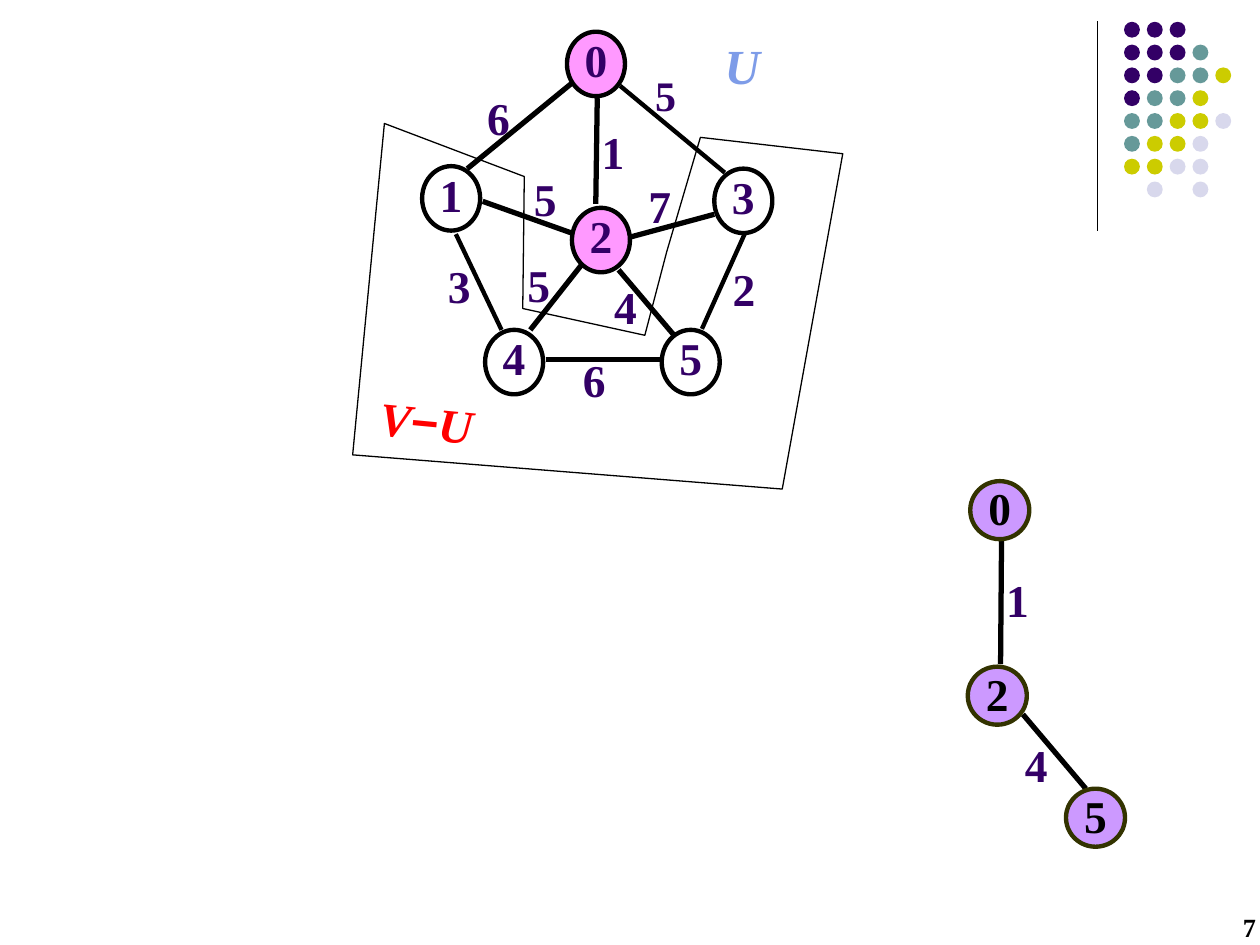
from dataclasses import dataclass
from typing import Optional

from lxml.etree import SubElement
from pptx import Presentation
from pptx.dml.color import RGBColor
from pptx.enum.shapes import MSO_CONNECTOR, MSO_SHAPE
from pptx.enum.text import MSO_ANCHOR, PP_ALIGN
from pptx.oxml.ns import qn
from pptx.util import Cm, Pt

BLACK = RGBColor(0x00, 0x00, 0x00)
WHITE = RGBColor(0xFF, 0xFF, 0xFF)
RED = RGBColor(0xFF, 0x00, 0x00)
BLUE = RGBColor(0x7E, 0x9C, 0xE8)
PURPLE = RGBColor(0x33, 0x00, 0x66)
TEAL = RGBColor(0x66, 0x99, 0x99)
YELLOW = RGBColor(0xCC, 0xCC, 0x00)
LAVENDER = RGBColor(0xD8, 0xD8, 0xEC)
PINK = RGBColor(0xFF, 0x99, 0xFF)
VIOLET = RGBColor(0xCC, 0x99, 0xFF)
OLIVE = RGBColor(0x33, 0x33, 0x00)

SERIF = "Times New Roman"
DOT_COLORS = {"P": PURPLE, "T": TEAL, "Y": YELLOW, "L": LAVENDER}
DOT_ROWS = ["PPP", "PPPT", "PPTTY", "PTTY", "TTYYL", "TYYL", "YYLL", " L L"]
DOT_LEFT, DOT_TOP, DOT_STEP, DOT_SIZE = 22.66, 0.44, 0.46, 0.32


@dataclass
class Node:
    name: str
    left: float
    top: float
    fill: Optional[RGBColor] = None


@dataclass
class NodeStyle:
    width: float
    height: float
    line: RGBColor
    text: RGBColor
    spacing: float


@dataclass
class Edge:
    start: tuple[float, float]
    end: tuple[float, float]
    width: float = 3


@dataclass
class Weight:
    text: str
    left: float
    top: float
    size: float = 26


GRAPH_STYLE = NodeStyle(1.17, 1.3, BLACK, PURPLE, 26)
TREE_STYLE = NodeStyle(1.19, 1.17, OLIVE, BLACK, 28)

GRAPH_NODES = [
    Node("0", 11.43, 0.64, PINK),
    Node("1", 8.51, 3.35),
    Node("2", 11.53, 4.19, PINK),
    Node("3", 14.4, 3.4),
    Node("4", 9.78, 6.65),
    Node("5", 13.34, 6.65),
]
TREE_NODES = [
    Node("0", 19.56, 9.7, VIOLET),
    Node("2", 19.51, 13.44, VIOLET),
    Node("5", 21.49, 15.9, VIOLET),
]
EDGES = [
    Edge((11.56, 1.65), (9.42, 3.4)),
    Edge((12.5, 1.73), (14.61, 3.48), 2.5),
    Edge((9.19, 4.72), (10.11, 6.65), 2.5),
    Edge((11, 7.24), (13.34, 7.24)),
    Edge((15.01, 4.72), (14.15, 6.63), 2.5),
    Edge((12.04, 1.98), (12.01, 4.11)),
    Edge((11.73, 5.33), (10.69, 6.65)),
    Edge((12.47, 5.44), (13.59, 6.76)),
    Edge((12.7, 4.78), (14.4, 4.32)),
    Edge((9.73, 4.06), (11.53, 4.7)),
    Edge((20.19, 10.87), (20.17, 13.39)),
    Edge((20.62, 14.4), (21.89, 15.9)),
]
WEIGHTS = [
    Weight("5", 13, 1.54, 24),
    Weight("6", 9.63, 2.01),
    Weight("1", 11.94, 2.69),
    Weight("7", 12.88, 3.78),
    Weight("6", 11.56, 7.29),
    Weight("5", 10.57, 3.63),
    Weight("4", 12.19, 5.82),
    Weight("2", 14.58, 5.44),
    Weight("5", 10.44, 5.36),
    Weight("3", 8.84, 5.38),
    Weight("1", 20.09, 11.71),
    Weight("4", 20.47, 15.04),
]
REGION = [
    (7.75, 2.49), (10.57, 3.56), (10.54, 6.22), (13, 6.76), (13.44, 5.08),
    (14.12, 2.77), (16.99, 3.1), (15.77, 9.86), (7.11, 9.17),
]


def add_span(para, text: str, *, size: float, color: RGBColor,
             font: str = SERIF, italic: bool = False) -> None:
    span = para.add_run()
    span.text = text
    span.font.name = font
    span.font.size = Pt(size)
    span.font.color.rgb = color
    span.font.bold = True
    span.font.italic = italic


def prepare_paragraph(shape, align=PP_ALIGN.CENTER,
                      spacing: Optional[float] = None, wrap: bool = True):
    frame = shape.text_frame
    frame.margin_left = frame.margin_right = 0
    frame.margin_top = frame.margin_bottom = 0
    frame.vertical_anchor = MSO_ANCHOR.MIDDLE
    frame.word_wrap = wrap
    para = frame.paragraphs[0]
    para.alignment = align
    if spacing:
        para.line_spacing = Pt(spacing)
    return para


def add_box(page, left: float, top: float, width: float, height: float):
    return page.shapes.add_textbox(Cm(left), Cm(top), Cm(width), Cm(height))


def add_ellipse(page, left: float, top: float, width: float, height: float,
                fill: Optional[RGBColor], line: Optional[RGBColor] = None):
    ellipse = page.shapes.add_shape(
        MSO_SHAPE.OVAL, Cm(left), Cm(top), Cm(width), Cm(height))
    ellipse.shadow.inherit = False
    if fill is None:
        ellipse.fill.background()
    else:
        ellipse.fill.solid()
        ellipse.fill.fore_color.rgb = fill
    if line is None:
        ellipse.line.fill.background()
    else:
        ellipse.line.color.rgb = line
        ellipse.line.width = Pt(2.5)
    return ellipse


def add_edge(page, edge: Edge) -> None:
    points = [Cm(value) for value in (*edge.start, *edge.end)]
    connector = page.shapes.add_connector(MSO_CONNECTOR.STRAIGHT, *points)
    connector.line.color.rgb = BLACK
    connector.line.width = Pt(edge.width)
    SubElement(connector._element.spPr, qn("a:effectLst"))


def add_node(page, node: Node, style: NodeStyle) -> None:
    ellipse = add_ellipse(page, node.left, node.top, style.width,
                          style.height, node.fill, style.line)
    para = prepare_paragraph(ellipse, spacing=style.spacing, wrap=False)
    add_span(para, node.name, size=26, color=style.text)


def add_weight(page, weight: Weight) -> None:
    box = add_box(page, weight.left, weight.top, 0.84, 0.91)
    para = prepare_paragraph(box, spacing=weight.size)
    add_span(para, weight.text, size=weight.size, color=PURPLE)


def add_dots(page) -> None:
    for row, colors in enumerate(DOT_ROWS):
        for column, key in enumerate(colors):
            if key in DOT_COLORS:
                add_ellipse(page, DOT_LEFT + column * DOT_STEP,
                            DOT_TOP + row * DOT_STEP,
                            DOT_SIZE, DOT_SIZE, DOT_COLORS[key])


def add_region(page) -> None:
    points = [(Cm(x), Cm(y)) for x, y in REGION]
    builder = page.shapes.build_freeform(*points[0])
    builder.add_line_segments(points[1:], close=True)
    region = builder.convert_to_shape()
    region.shadow.inherit = False
    region.fill.solid()
    region.fill.fore_color.rgb = WHITE
    region.line.color.rgb = BLACK
    region.line.width = Pt(0.75)


def add_captions(page) -> None:
    number = prepare_paragraph(add_box(page, 24.61, 18.31, 0.71, 0.74),
                               align=PP_ALIGN.RIGHT)
    add_span(number, "7", size=15, color=BLACK)
    chosen = prepare_paragraph(add_box(page, 14.48, 0.71, 0.97, 1.19))
    add_span(chosen, "U", size=28, color=BLUE, italic=True)
    box = add_box(page, 7.37, 7.92, 2.46, 1.14)
    box.rotation = 5.5
    remaining = prepare_paragraph(box)
    add_span(remaining, "V", size=27, color=RED, italic=True)
    add_span(remaining, "−", size=27, color=RED, font="Arial")
    add_span(remaining, "U", size=27, color=RED, italic=True)


def main() -> None:
    deck = Presentation()
    deck.slide_width, deck.slide_height = Cm(25.4), Cm(19.05)
    page = deck.slides.add_slide(deck.slide_layouts[6])
    add_edge(page, Edge((22.12, 0.43), (22.12, 4.65), 0.75))
    add_dots(page)
    add_region(page)
    add_captions(page)
    for edge in EDGES:
        add_edge(page, edge)
    for nodes, style in ((GRAPH_NODES, GRAPH_STYLE), (TREE_NODES, TREE_STYLE)):
        for node in nodes:
            add_node(page, node, style)
    for weight in WEIGHTS:
        add_weight(page, weight)
    deck.save("out.pptx")


if __name__ == "__main__":
    main()
